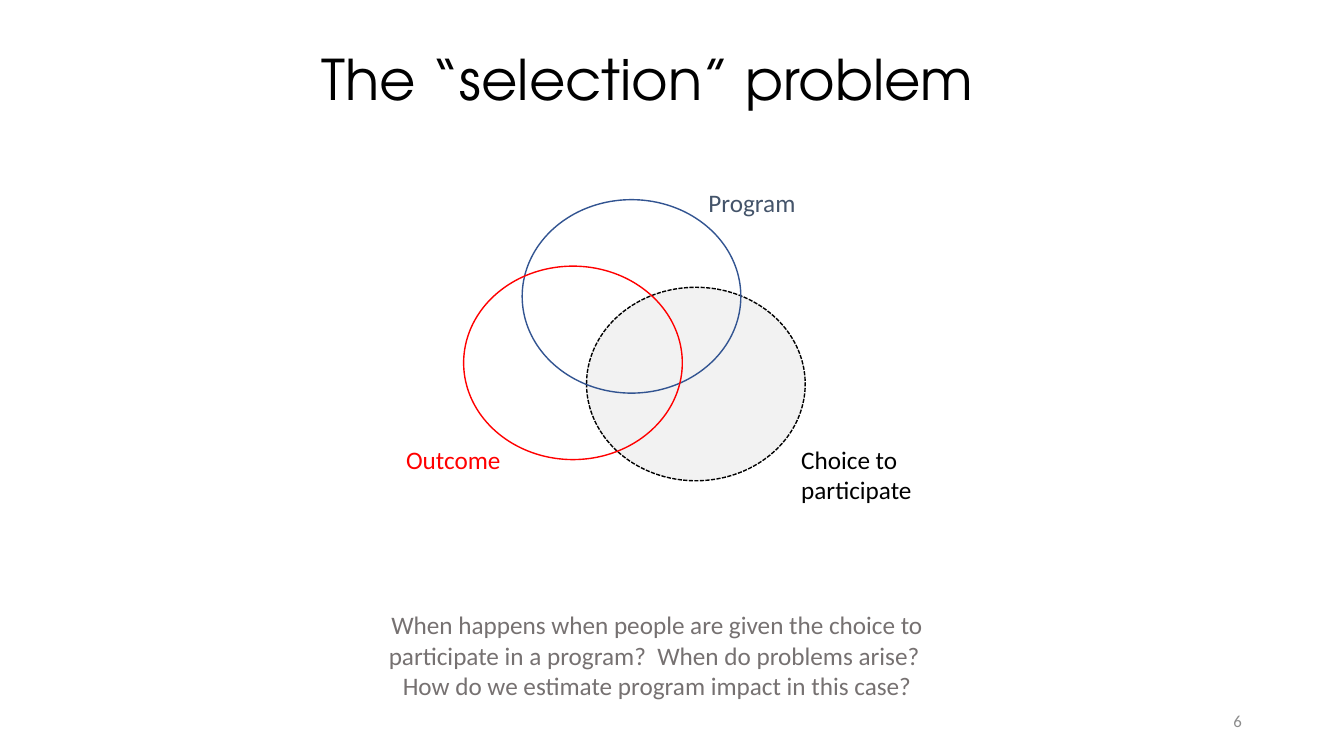
from pptx import Presentation
from pptx.dml.color import RGBColor
from pptx.enum import dml, shapes, text
from pptx.util import Pt

deck = Presentation()
deck.slide_width, deck.slide_height = Pt(960), Pt(540)
slide = deck.slides.add_slide(deck.slide_layouts[6])


def tint(code):
    return RGBColor.from_string(code)


def write(words, left, top, width, height, color, size=18, font="Calibri",
          align=text.PP_ALIGN.LEFT, anchor=text.MSO_ANCHOR.TOP, wrap=True,
          spacing=None):
    box = slide.shapes.add_textbox(Pt(left), Pt(top), Pt(width), Pt(height))
    frame = box.text_frame
    frame.word_wrap = wrap
    frame.vertical_anchor = anchor
    frame.text = words
    for para in frame.paragraphs:
        para.alignment = align
        para.line_spacing = spacing
        para.font.size = Pt(size)
        para.font.name = font
        para.font.color.rgb = tint(color)


# Three overlapping sets
for left, top, line, fill in [
    (419, 205.2, "000000", "F2F2F2"),
    (373, 142.6, "325491", None),
    (331.2, 190.1, "FF0000", None),
]:
    ring = slide.shapes.add_shape(shapes.MSO_SHAPE.OVAL, Pt(left), Pt(top),
                                  Pt(156.2), Pt(138.2))
    ring.shadow.inherit = False
    ring.line.color.rgb = tint(line)
    ring.line.width = Pt(1)
    if fill:
        ring.fill.solid()
        ring.fill.fore_color.rgb = tint(fill)
        ring.line.dash_style = dml.MSO_LINE.SQUARE_DOT
    else:
        ring.fill.background()

# Set labels
write("Program", 499, 130.3, 77, 29, "44546A", wrap=False)
write("Outcome", 283, 313.9, 83, 29, "FF0000", wrap=False)
write("Choice to\nparticipate", 565.2, 313.9, 94.3, 51, "000000", wrap=False)

# Title, question and page number
write("The “selection” problem", 216.7, 6.5, 491.8, 77.8, "000000", size=40,
      font="TeX Gyre Adventor", align=text.PP_ALIGN.CENTER,
      anchor=text.MSO_ANCHOR.BOTTOM, spacing=0.9)
write("When happens when people are given the choice to participate in a "
      "program?  When do problems arise?  How do we estimate program impact "
      "in this case?", 253.4, 432, 432, 72.7, "767171",
      align=text.PP_ALIGN.CENTER)
write("6", 678.2, 500.4, 216, 28.8, "8C8C8C", size=12,
      align=text.PP_ALIGN.RIGHT, anchor=text.MSO_ANCHOR.MIDDLE)

deck.save("out.pptx")
